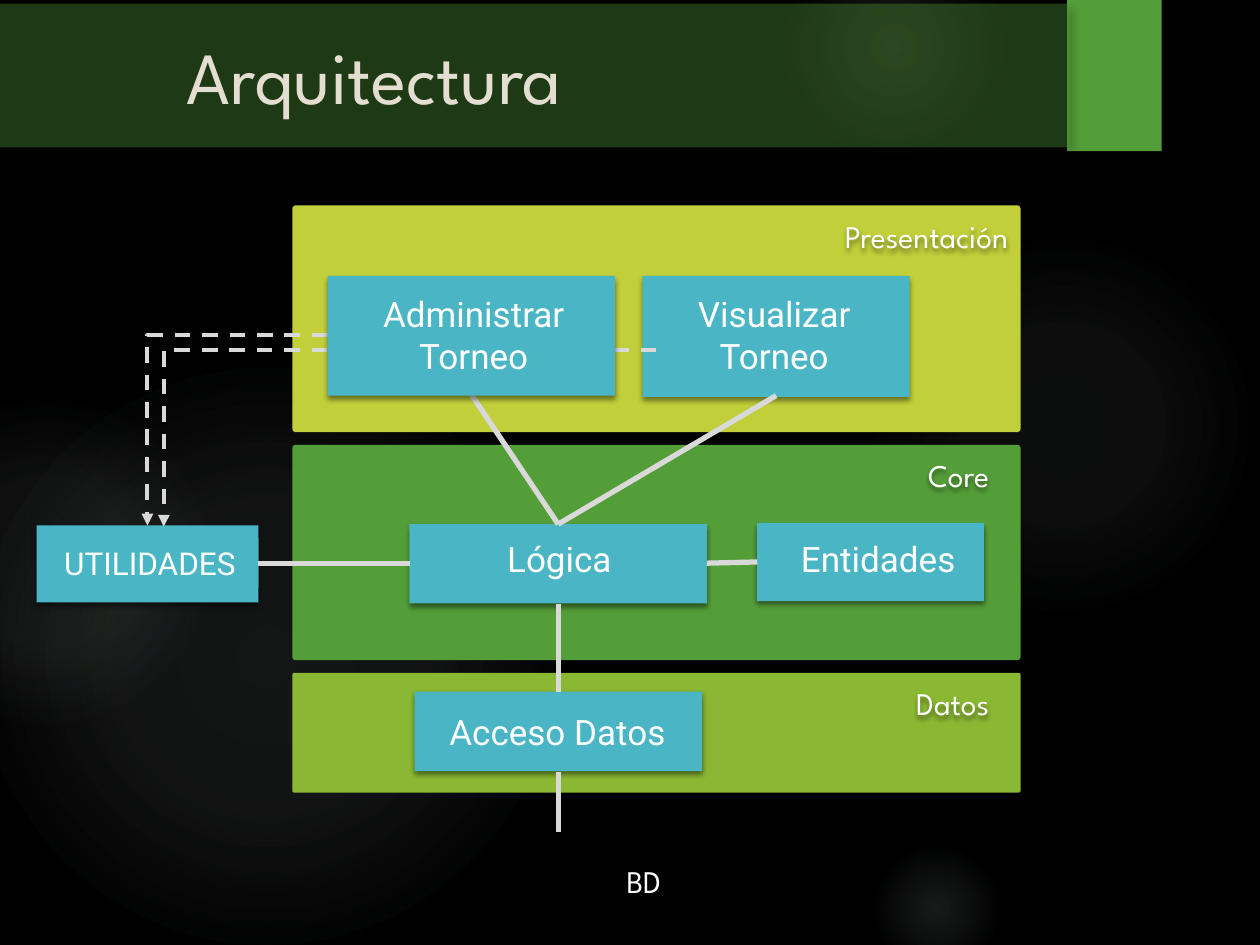
"""Build the architecture slide: three tiers, their modules and the links between them."""
from lxml import etree
from pptx import Presentation, util as u
from pptx.dml.color import RGBColor
from pptx.enum import dml, shapes, text
from pptx.oxml import parse_xml
from pptx.oxml.ns import nsdecls, qn

BLACK = RGBColor(0x00, 0x00, 0x00)
WHITE = RGBColor(0xFF, 0xFF, 0xFF)
CREAM = RGBColor(0xE3, 0xDE, 0xD1)
MIST = RGBColor(0xAF, 0xC5, 0xB9)
GREEN = RGBColor(0x54, 0x9E, 0x39)
LEAF = RGBColor(0x8A, 0xB8, 0x33)
LIME = RGBColor(0xC0, 0xCF, 0x3A)
TEAL = RGBColor(0x4A, 0xB5, 0xC4)
SILVER = RGBColor(0xD9, 0xD9, 0xD9)
RECT = shapes.MSO_SHAPE.RECTANGLE
ROUND = shapes.MSO_SHAPE.ROUNDED_RECTANGLE
LEFT, CENTER, RIGHT = text.PP_ALIGN.LEFT, text.PP_ALIGN.CENTER, text.PP_ALIGN.RIGHT

deck = Presentation()
deck.slide_width, deck.slide_height = u.Inches(10), u.Inches(7.5)
COLUMN, ROW = deck.slide_width / 100, deck.slide_height / 75
page = deck.slides.add_slide(deck.slide_layouts[6])
page.background.fill.solid()
page.background.fill.fore_color.rgb = BLACK


def add_block(parent, kind, area, color=None, shadow=None):
    """Add a shape on the grid, with an optional fill and shadow."""
    left, top, width, height = area
    block = parent.add_shape(kind, *(int(n) for n in (
        left * COLUMN, top * ROW, width * COLUMN, height * ROW)))
    block.line.fill.background()
    block.shadow.inherit = False
    block.fill.background()
    if color is not None:
        block.fill.solid()
        block.fill.fore_color.rgb = color
    if shadow:
        alpha, blur, distance, angle = shadow
        block._element.spPr.find(qn("a:effectLst")).append(parse_xml(
            f'<a:outerShdw {nsdecls("a")} blurRad="{u.Pt(blur)}" dist="{u.Pt(distance)}" '
            f'dir="{angle * 60000}" algn="tl" rotWithShape="0"><a:srgbClr val="{BLACK}">'
            f'<a:alpha val="{alpha * 1000}"/></a:srgbClr></a:outerShdw>'))
    return block


def write(box, words, size, face, color, align, anchor=text.MSO_ANCHOR.TOP):
    """Write one styled paragraph in a box."""
    frame = box.text_frame
    frame.word_wrap, frame.vertical_anchor = True, anchor
    para = frame.paragraphs[0]
    para.alignment = align
    span = para.add_run()
    span.text = words
    span.font.color.rgb = color
    for name, value in {"size": u.Pt(size), "name": face}.items():
        setattr(span.font, name, value)


SOFT = (45, 3, 2, 90)
glows = [
    (68.9, 18.3, 30.8, ((0, 7), (36, 6), (69, 0))),
    (62.2, -5, 17.5, ((0, 14), (36, 7), (73, 0))),
    (68.9, 66.7, 10.8, ((0, 14), (36, 7), (66, 0))),
    (-1.7, 29.2, 45.8, ((0, 11), (36, 10), (75, 0))),
    (-9.2, 31.7, 25.8, ((0, 8), (36, 8), (72, 0))),
]
for left, top, size, stops in glows:
    glow = add_block(page.shapes, shapes.MSO_SHAPE.OVAL, (left, top, size, size))
    marks = "".join(
        f'<a:gs pos="{stop * 1000}"><a:srgbClr val="{MIST}"><a:alpha val="{alpha * 1000}"/>'
        f'</a:srgbClr></a:gs>' for stop, alpha in stops)
    empty = glow._element.spPr.find(qn("a:noFill"))
    empty.getparent().replace(empty, parse_xml(
        f'<a:gradFill {nsdecls("a")} rotWithShape="1"><a:gsLst>{marks}</a:gsLst>'
        '<a:path path="circle"><a:fillToRect l="50000" t="50000" r="50000" b="50000"/>'
        '</a:path></a:gradFill>'))

add_block(page.shapes, RECT, (84.7, 0, 7.5, 12), GREEN, SOFT)
banner = add_block(page.shapes, RECT, (0, 0.3, 84.9, 11.4), GREEN, (40, 4, 3, 45))
tint = banner._element.spPr.find(qn("a:solidFill"))[0]
etree.SubElement(tint, qn("a:alpha")).set("val", "37000")

for top, height, color in ((53.4, 9.5, LEAF), (35.3, 17.1, GREEN), (16.3, 18, LIME)):
    tier = add_block(page.shapes, ROUND, (23.2, top, 57.8, height), color)
    tier.adjustments[0] = 0.015

labels = [
    ("Arquitectura", (13.8, 1.7, 70.1, 8.6), 42, CREAM, LEFT, text.MSO_ANCHOR.MIDDLE, None),
    ("Core", (68.1, 35.7, 11.4, 4), 18, WHITE, RIGHT, text.MSO_ANCHOR.TOP, SOFT),
    ("Presentación", (61.3, 16.7, 19.7, 4), 18, WHITE, RIGHT, text.MSO_ANCHOR.TOP, SOFT),
    ("Datos", (62.7, 53.8, 16.8, 4), 18, WHITE, RIGHT, text.MSO_ANCHOR.TOP, SOFT),
    ("BD", (47.9, 67.9, 6.4, 4), 18, WHITE, CENTER, text.MSO_ANCHOR.TOP, SOFT),
]
for words, area, size, color, align, anchor, shadow in labels:
    label = add_block(page.shapes, RECT, area, shadow=shadow)
    write(label, words, size, "League Spartan", color, align, anchor)

modules = [
    ("UTILIDADES", 18, (2.9, 41.7, 17.6, 6.1), (3.3, 42.7, 17.2, 4)),
    ("Visualizar Torneo", 20, (51, 21.9, 21.2, 9.6), (53, 22.7, 16.9, 7.9)),
    ("Lógica", 20, (32.5, 41.6, 23.6, 6.3), (36.5, 42.2, 15.8, 4.5)),
    ("Entidades", 20, (60.1, 41.5, 18, 6.2), (61.4, 42.2, 16.6, 4.4)),
    ("Acceso Datos", 20, (32.9, 54.9, 22.8, 6.3), (32.9, 55.9, 22.7, 4.4)),
    ("Administrar Torneo", 20, (26, 21.9, 22.8, 9.5), (28.5, 22.7, 18.2, 7.7)),
]
links = [
    (37.4, 31.3, 44.3, 41.6), (61.6, 31.4, 44.3, 41.6), (60.1, 44.6, 56.1, 44.7),
    (44.3, 47.9, 44.3, 54.9), (44.3, 66, 44.3, 61.3), (32.5, 44.7, 20.5, 44.7),
]
routes = [(11.7, 41.7, 26, 26.6), (13, 41.8, 52.1, 27.8)]

for words, size, area, inner in modules:
    if words == "Administrar Torneo":
        for ends in links + routes:
            bent = ends in routes
            kind = shapes.MSO_CONNECTOR.ELBOW if bent else shapes.MSO_CONNECTOR.STRAIGHT
            link = page.shapes.add_connector(
                kind, *(int(n * unit) for n, unit in zip(ends, (COLUMN, ROW) * 2)))
            link.line.color.rgb = SILVER
            link.line.width = u.Pt(2.25 if bent else 3)
            props = link._element.spPr
            if bent:
                link.line.dash_style = dml.MSO_LINE.DASH
                props.find(qn("a:xfrm")).set("rot", "10800000")
                props.find(qn("a:prstGeom")).set("prst", "bentConnector2")
                etree.SubElement(props.find(qn("a:ln")), qn("a:tailEnd")).set("type", "triangle")
            etree.SubElement(props, qn("a:effectLst"))
    module = page.shapes.add_group_shape()
    card = add_block(module.shapes, ROUND, area, TEAL, SOFT)
    card.adjustments[0] = 0
    write(add_block(module.shapes, RECT, inner, TEAL), words, size, "Roboto", WHITE, CENTER)

deck.save("out.pptx")
